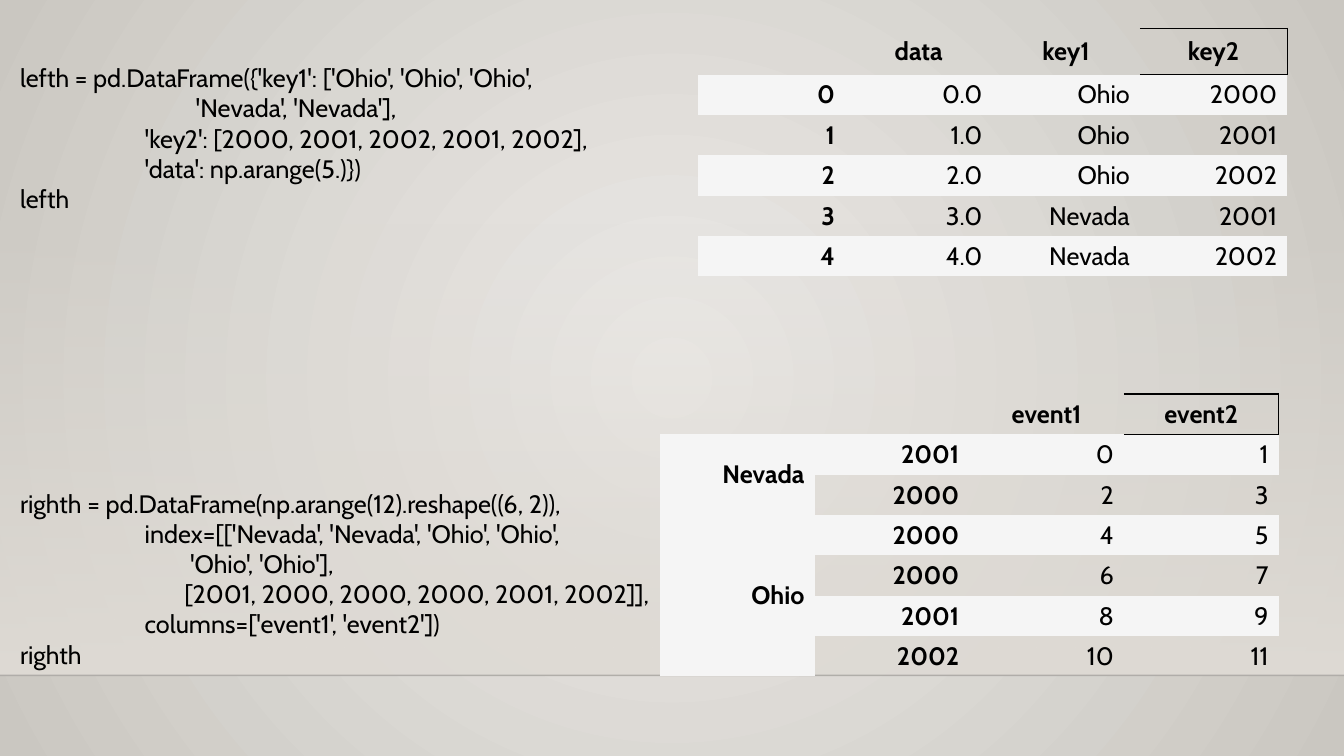
from dataclasses import dataclass
from typing import Optional

from lxml.etree import SubElement
from pptx import Presentation
from pptx.dml.color import RGBColor
from pptx.enum.shapes import MSO_CONNECTOR, MSO_SHAPE
from pptx.enum.text import MSO_ANCHOR, MSO_AUTO_SIZE, PP_ALIGN
from pptx.oxml import parse_xml
from pptx.oxml.ns import nsdecls, qn
from pptx.util import Emu, Inches, Pt

COLORS = {"text": "000000", "stripe": "F5F5F5", "floor": "DFDBD5",
          "floor_edge": "000001", "glow": "ECEAE7", "rim": "CAC7C1"}
FONT = "Cabin"
PLAIN_TABLE = "{2D5ABB26-0587-4C30-8999-92F81FD0307C}"

deck = Presentation()
deck.slide_width, deck.slide_height = Inches(13.33), Inches(7.5)
slide = deck.slides.add_slide(deck.slide_layouts[6])


def across(percent: float) -> Emu:
    return Emu(round(deck.slide_width * percent / 100))


def down(percent: float) -> Emu:
    return Emu(round(deck.slide_height * percent / 100))


@dataclass(frozen=True)
class Code:
    """Listing placed in percent of the slide."""
    top: float
    height: float
    text: str
    left: float = 0.75
    width: float = 50


@dataclass(frozen=True)
class Frame:
    """Data frame placed in percent of the slide; None continues the cell above."""
    left: float
    top: float
    width: float
    header_height: float
    header_line: float
    index_columns: int
    rows: list[tuple[Optional[str], ...]]
    row_height: float = 5.33


CODES = [
    Code(7.6, 21.6, """\
lefth = pd.DataFrame({'key1': ['Ohio', 'Ohio', 'Ohio',
                               'Nevada', 'Nevada'],
                      'key2': [2000, 2001, 2002, 2001, 2002],
                      'data': np.arange(5.)})
lefth"""),
    Code(63.87, 25.6, """\
righth = pd.DataFrame(np.arange(12).reshape((6, 2)),
                      index=[['Nevada', 'Nevada', 'Ohio', 'Ohio',
                              'Ohio', 'Ohio'],
                             [2001, 2000, 2000, 2000, 2001, 2002]],
                      columns=['event1', 'event2'])
righth"""),
]

FRAMES = [
    Frame(51.9, 3.73, 43.88, 6.13, 0.75, 1, [
        ("", "data", "key1", "key2"),
        ("0", "0.0", "Ohio", "2000"),
        ("1", "1.0", "Ohio", "2001"),
        ("2", "2.0", "Ohio", "2002"),
        ("3", "3.0", "Nevada", "2001"),
        ("4", "4.0", "Nevada", "2002"),
    ]),
    Frame(49.1, 52.1, 46.05, 5.33, 1.5, 2, [
        ("", "", "event1", "event2"),
        ("Nevada", "2001", "0", "1"),
        (None, "2000", "2", "3"),
        ("Ohio", "2000", "4", "5"),
        (None, "2000", "6", "7"),
        (None, "2001", "8", "9"),
        (None, "2002", "10", "11"),
    ]),
]


def write(text_frame, text: str, *, bold: bool = False,
          align: PP_ALIGN = PP_ALIGN.LEFT, size: float = 18) -> None:
    for number, line in enumerate(text.split("\n")):
        paragraph = text_frame.add_paragraph() if number else text_frame.paragraphs[0]
        paragraph.alignment = align
        run = paragraph.add_run()
        run.text = line
        run.font.name, run.font.size, run.font.bold = FONT, Pt(size), bold
        run.font.color.rgb = RGBColor.from_string(COLORS["text"])


def gradient(first: str, last: str, direction: str, first_alpha: int = 100):
    return parse_xml(
        f'<a:gradFill {nsdecls("a")} rotWithShape="1"><a:gsLst>'
        f'<a:gs pos="0"><a:srgbClr val="{COLORS[first]}">'
        f'<a:alpha val="{first_alpha * 1000}"/></a:srgbClr></a:gs>'
        f'<a:gs pos="100000"><a:srgbClr val="{COLORS[last]}"/></a:gs>'
        f'</a:gsLst>{direction}</a:gradFill>')


def swap_solid(properties, fill) -> None:
    """Put a gradient where the solid fill stands."""
    properties.replace(properties.find(qn("a:solidFill")), fill)


def draw_backdrop() -> None:
    slide.background.fill.solid()
    centre = ('<a:path path="circle"><a:fillToRect l="50000" t="50000" '
              'r="50000" b="50000"/></a:path>')
    swap_solid(slide.background._cSld.bg.bgPr, gradient("glow", "rim", centre))

    floor = slide.shapes.add_shape(MSO_SHAPE.RECTANGLE, 0, down(29.47),
                                   across(100), down(59.87))
    floor.shadow.inherit = False
    floor.line.fill.background()
    floor.fill.solid()
    swap_solid(floor._element.spPr,
               gradient("floor", "floor", '<a:lin ang="5400000" scaled="0"/>', 0))

    edge = slide.shapes.add_connector(MSO_CONNECTOR.STRAIGHT, 0, down(89.33),
                                      across(100), down(89.33))
    edge.line.width = Pt(1)
    edge.line.color.rgb = RGBColor.from_string(COLORS["floor_edge"])
    properties = edge._element.spPr
    SubElement(next(properties.iter(qn("a:srgbClr"))), qn("a:alpha"), val="20000")
    SubElement(properties, qn("a:effectLst"))


def draw_code(code: Code) -> None:
    box = slide.shapes.add_textbox(across(code.left), down(code.top),
                                   across(code.width), down(code.height))
    box.text_frame.word_wrap = True
    box.text_frame.auto_size = MSO_AUTO_SIZE.SHAPE_TO_FIT_TEXT
    write(box.text_frame, code.text)


def outline(cell, top_width: float) -> None:
    """Rule the right, top and bottom sides of a cell."""
    properties = cell._tc.get_or_add_tcPr()
    for place, (side, width) in enumerate(
            (("R", 0.75), ("T", top_width), ("B", 0.75))):
        properties.insert(place, parse_xml(
            f'<a:ln{side} {nsdecls("a")} w="{Pt(width)}"><a:solidFill>'
            f'<a:srgbClr val="{COLORS["text"]}"/></a:solidFill></a:ln{side}>'))


def draw_frame(frame: Frame) -> None:
    columns, body_rows = len(frame.rows[0]), len(frame.rows) - 1
    height = frame.header_height + body_rows * frame.row_height
    table = slide.shapes.add_table(
        len(frame.rows), columns, across(frame.left), down(frame.top),
        across(frame.width), down(height)).table
    table._tbl.tblPr.find(qn("a:tableStyleId")).text = PLAIN_TABLE
    for column in table.columns:
        column.width = across(frame.width / columns)

    for r, values in enumerate(frame.rows):
        table.rows[r].height = down(frame.row_height if r else frame.header_height)
        for c, value in enumerate(values):
            if value is None:
                continue
            cell = table.cell(r, c)
            last = r
            while last < body_rows and frame.rows[last + 1][c] is None:
                last += 1
            if last > r:
                cell.merge(table.cell(last, c))
            cell.vertical_anchor = MSO_ANCHOR.MIDDLE
            if r % 2:
                cell.fill.solid()
                cell.fill.fore_color.rgb = RGBColor.from_string(COLORS["stripe"])
            else:
                cell.fill.background()
            if value:
                write(cell.text_frame, value, bold=r == 0 or c < frame.index_columns,
                      align=PP_ALIGN.RIGHT if r else PP_ALIGN.CENTER)
    outline(table.cell(0, columns - 1), frame.header_line)


def main() -> None:
    draw_backdrop()
    for code, frame in zip(CODES, FRAMES):
        draw_code(code)
        draw_frame(frame)
    deck.save("out.pptx")


if __name__ == "__main__":
    main()
